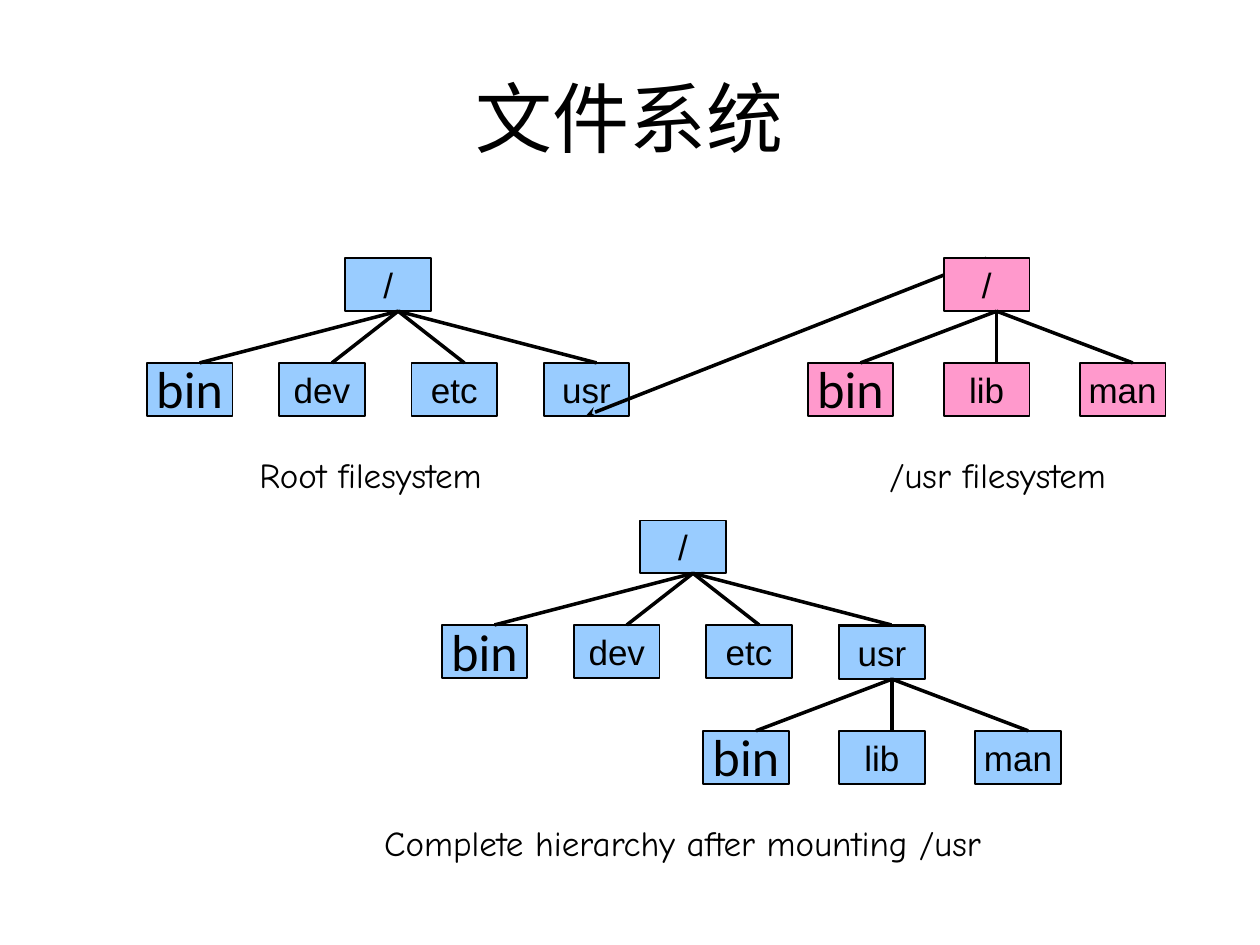
from dataclasses import dataclass

from lxml.etree import SubElement
from pptx import Presentation
from pptx.dml.color import RGBColor
from pptx.enum.shapes import MSO_CONNECTOR as CONN, MSO_SHAPE as SHAPE
from pptx.enum.text import MSO_ANCHOR as ANCHOR, MSO_AUTO_SIZE as AUTO, PP_ALIGN as ALIGN
from pptx.oxml.ns import qn
from pptx.util import Inches, Pt


@dataclass(frozen=True)
class Theme:
    black: RGBColor = RGBColor(0x00, 0x00, 0x00)
    blue: RGBColor = RGBColor(0x99, 0xCC, 0xFF)
    pink: RGBColor = RGBColor(0xFF, 0x99, 0xCC)
    font: str = "Arial"
    bin_font: str = "Lato"
    caption_font: str = "Comic Neue"
    title_size: int = 44
    text_size: int = 20
    bin_size: int = 28


THEME = Theme()

# Tree geometry in inches
NODE_W, NODE_H = 0.68, 0.42
LEVEL = 0.83      # from one row of nodes to the next
EDGE_X = 0.42     # where an edge meets a node, from its left side


def set_text(tf, text, size, font, align):
    tf.text = text
    p = tf.paragraphs[0]
    p.alignment = align
    r = p.runs[0]
    r.font.size = Pt(size)
    r.font.name = font
    r.font.color.rgb = THEME.black


def add_title(s, text):
    title = s.shapes.title
    title.left, title.top = Inches(0.5), Inches(0.3)
    title.width, title.height = Inches(9), Inches(1.25)
    title.text_frame.vertical_anchor = ANCHOR.MIDDLE
    set_text(title.text_frame, text, THEME.title_size, THEME.font, ALIGN.CENTER)


def add_node(s, name, x, y, fill):
    sp = s.shapes.add_shape(SHAPE.RECTANGLE, Inches(x), Inches(y),
                            Inches(NODE_W), Inches(NODE_H))
    sp.shadow.inherit = False
    sp.fill.solid()
    sp.fill.fore_color.rgb = fill
    sp.line.color.rgb = THEME.black
    sp.line.width = Pt(1)
    tf = sp.text_frame
    tf.word_wrap = False
    tf.vertical_anchor = ANCHOR.MIDDLE
    size, font = ((THEME.bin_size, THEME.bin_font) if name == "bin"
                  else (THEME.text_size, THEME.font))
    set_text(tf, name, size, font, ALIGN.CENTER)


def add_line(s, x1, y1, x2, y2, arrow=False):
    line = s.shapes.add_connector(CONN.STRAIGHT, Inches(x1), Inches(y1),
                                  Inches(x2), Inches(y2))
    line.line.color.rgb = THEME.black
    line.line.width = Pt(2)
    if arrow:
        SubElement(line.line._get_or_add_ln(), qn("a:tailEnd"), type="stealth")
    SubElement(line._element.spPr, qn("a:effectLst"))


def add_tree(s, root, children, x, y, pitch, fill):
    """Draw a root node with its children centred in the row below."""
    add_node(s, root, x, y, fill)
    first = x - pitch * (len(children) - 1) / 2
    child_xs = [first + i * pitch for i in range(len(children))]
    for name, child_x in zip(children, child_xs):
        add_node(s, name, child_x, y + LEVEL, fill)
    for child_x in child_xs:
        add_line(s, x + EDGE_X, y + NODE_H, child_x + EDGE_X, y + LEVEL)


def add_caption(s, text, x, y, w):
    tf = s.shapes.add_textbox(Inches(x), Inches(y), Inches(w), Inches(0.44)).text_frame
    tf.word_wrap = False
    tf.auto_size = AUTO.SHAPE_TO_FIT_TEXT
    set_text(tf, text, THEME.text_size, THEME.caption_font, ALIGN.LEFT)


def main():
    prs = Presentation()
    prs.slide_width, prs.slide_height = Inches(10), Inches(7.5)
    s = prs.slides.add_slide(prs.slide_layouts[5])
    add_title(s, "文件系统")

    root_dirs = ["bin", "dev", "etc", "usr"]
    usr_dirs = ["bin", "lib", "man"]

    # Root filesystem, with the mount arrow passing behind the /usr root
    add_tree(s, "/", root_dirs, 2.74, 2.05, 1.05, THEME.blue)
    add_line(s, 7.83, 2.05, 4.65, 3.3, arrow=True)
    add_caption(s, "Root filesystem", 1.96, 3.55, 1.98)

    # /usr filesystem
    add_tree(s, "/", usr_dirs, 7.49, 2.05, 1.08, THEME.pink)
    add_caption(s, "/usr filesystem", 6.96, 3.55, 1.93)

    # Complete hierarchy: the /usr tree hangs from the usr node
    add_tree(s, "/", root_dirs, 5.08, 4.13, 1.05, THEME.blue)
    add_tree(s, "usr", usr_dirs, 6.66, 4.97, 1.08, THEME.blue)
    add_caption(s, "Complete hierarchy after mounting /usr", 2.95, 6.47, 4.97)

    prs.save("out.pptx")


if __name__ == "__main__":
    main()
